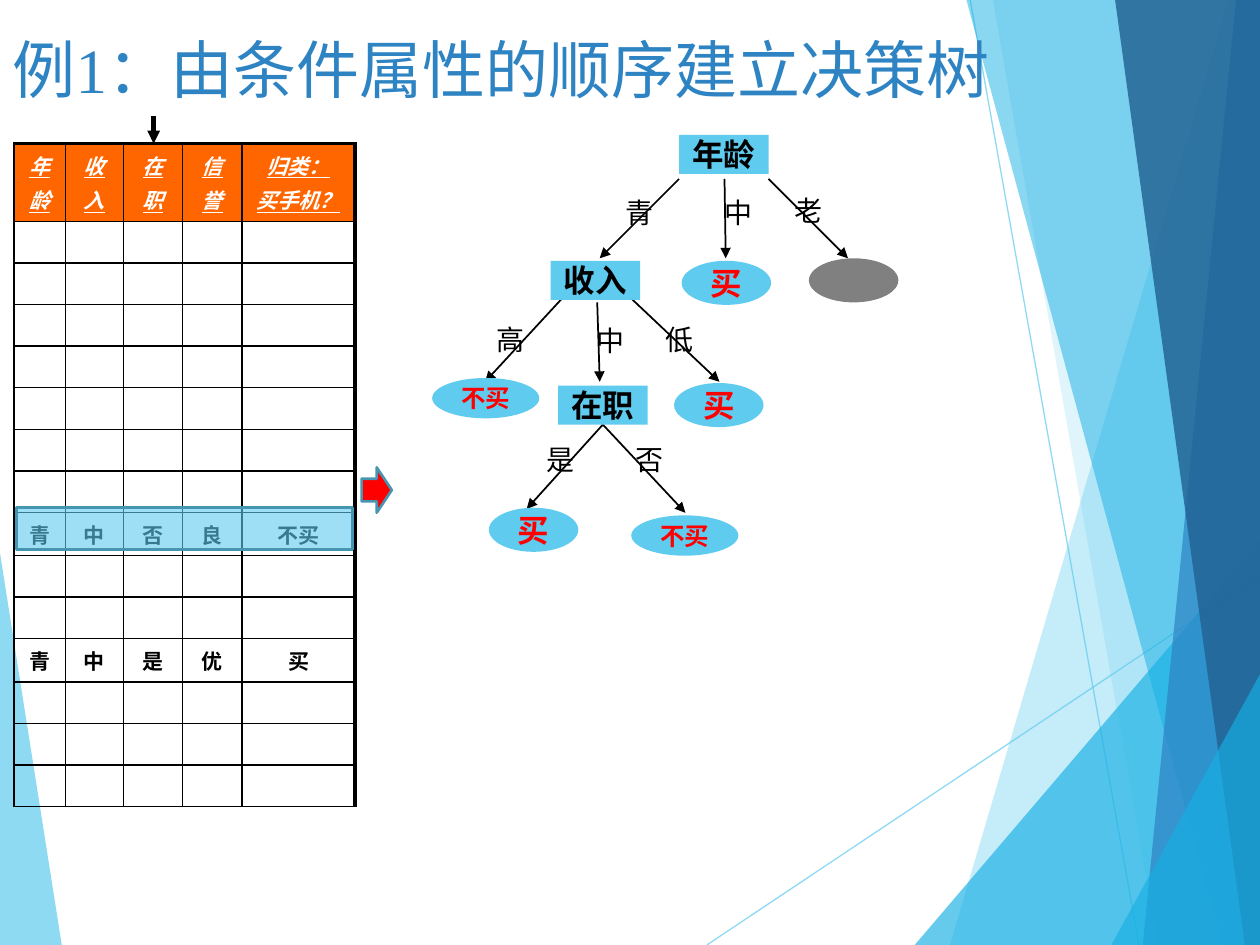
from lxml.etree import SubElement
from pptx import Presentation
from pptx.dml.color import RGBColor
from pptx.enum.shapes import MSO_CONNECTOR as Connector, MSO_SHAPE as Preset
from pptx.enum.text import MSO_ANCHOR as Anchor, MSO_AUTO_SIZE as AutoSize, PP_ALIGN as Align
from pptx.oxml.ns import qn
from pptx.util import Inches, Pt

SKY = RGBColor(0x5F, 0xCB, 0xEF)
CYAN = RGBColor(0x17, 0xB0, 0xE4)
BLUE = RGBColor(0x2E, 0x83, 0xC3)
NAVY = RGBColor(0x22, 0x62, 0x92)
TEAL = RGBColor(0x46, 0x96, 0xB1)
ORANGE = RGBColor(0xFF, 0x66, 0x00)
RED = RGBColor(0xFF, 0x00, 0x00)
GREY = RGBColor(0x80, 0x80, 0x80)
BLACK = RGBColor(0x00, 0x00, 0x00)
WHITE = RGBColor(0xFF, 0xFF, 0xFF)


def set_opacity(fill_parent, percent):
    color = fill_parent.find(qn("a:solidFill")).find(qn("a:srgbClr"))
    SubElement(color, qn("a:alpha"), val=str(percent * 1000))


def add_run(paragraph, text, size, font, color, bold=False):
    run = paragraph.add_run()
    run.text = text
    run.font.size = Pt(size)
    run.font.name = font
    run.font.bold = bold
    run.font.color.rgb = color
    return run


def add_line(slide, start, end, color, width, arrow=False):
    line = slide.shapes.add_connector(
        Connector.STRAIGHT, *(Inches(value) for value in (*start, *end)))
    line.line.color.rgb = color
    line.line.width = Pt(width)
    properties = line._element.spPr
    if arrow:
        SubElement(properties.find(qn("a:ln")), qn("a:tailEnd"), type="triangle")
    SubElement(properties, qn("a:effectLst"))
    return line


def style_shape(shape, fill, outline=None, opacity=None):
    shape.shadow.inherit = False
    shape.fill.solid()
    shape.fill.fore_color.rgb = fill
    if opacity:
        set_opacity(shape._element.spPr, opacity)
    if outline:
        shape.line.color.rgb = outline
        shape.line.width = Pt(1.5)
    else:
        shape.line.fill.background()


def add_preset(slide, preset, box, fill, outline=None, opacity=None):
    shape = slide.shapes.add_shape(preset, *(Inches(value) for value in box))
    style_shape(shape, fill, outline, opacity)
    return shape


def add_background(slide, width, height):
    def add_facet(points, color, opacity):
        points = [(Inches(x), Inches(y)) for x, y in points]
        builder = slide.shapes.build_freeform(*points[0])
        builder.add_line_segments(points[1:], close=True)
        style_shape(builder.convert_to_shape(), color, opacity=opacity)

    add_facet([(0, 4.39), (0.49, height), (0, height)], SKY, 70)
    for start, end in (((5.61, height), (width, 4.57)), ((7.7, 0), (9.04, height))):
        line = add_line(slide, start, end, SKY, 0.75)
        set_opacity(line._element.spPr.find(qn("a:ln")), 70)

    # Facets against the right edge: top of the edge, x at top, x at bottom
    for edge_top, top_x, bottom_x, color, opacity in (
            (0, 9.75, 7.54, SKY, 36), (0, 7.88, 9.19, SKY, 20),
            (4.29, width, 7.26, CYAN, 66), (0, 7.67, 9.7, CYAN, 50),
            (0, 9.81, 9.07, BLUE, 70), (0, 8.85, 9.88, NAVY, 82),
            (5.35, width, 8.82, CYAN, 66)):
        add_facet([(top_x, edge_top), (bottom_x, height), (width, height),
                   (width, edge_top)], color, opacity)


def add_title(slide, left, top, width, height):
    title = slide.shapes.title
    title.left, title.top = Inches(left), Inches(top)
    title.width, title.height = Inches(width), Inches(height)
    frame = title.text_frame
    frame.auto_size = AutoSize.NONE
    frame.vertical_anchor = Anchor.TOP
    paragraph = frame.paragraphs[0]
    paragraph.alignment = Align.LEFT
    add_run(paragraph, "例1：由条件属性的顺序建立决策树", 36, "Times New Roman", BLUE)
    # Bring the title in front of the background
    slide.shapes._spTree.append(title._element)


def set_borders(cell, widths):
    properties = cell._tc.get_or_add_tcPr()
    for index, (side, width) in enumerate(zip(("lnL", "lnR", "lnT", "lnB"), widths)):
        border = properties.makeelement(qn(f"a:{side}"), {"w": str(Pt(width))})
        fill = SubElement(border, qn("a:solidFill"))
        SubElement(fill, qn("a:srgbClr"), val=str(BLACK))
        properties.insert(index, border)


def fill_cell(cell, lines, header):
    if header:
        cell.fill.solid()
        cell.fill.fore_color.rgb = ORANGE
    else:
        cell.fill.background()
    frame = cell.text_frame
    if not lines:
        SubElement(frame.paragraphs[0]._p, qn("a:endParaRPr"), sz="1200")
    for index, text in enumerate(lines):
        paragraph = frame.add_paragraph() if index else frame.paragraphs[0]
        paragraph.alignment = Align.CENTER
        if index:
            paragraph.space_before = Pt(2.4)
        font = "Times New Roman" if header else "Arial"
        run = add_run(paragraph, text, 12, font, WHITE if header else BLACK, True)
        run.font.italic = run.font.underline = header


def add_records(slide, left, top):
    column_widths = (0.41, 0.46, 0.47, 0.47, 0.9)
    row_heights = [0.56] + [0.33] * 14
    contents = {
        0: ("年 龄", "收 入", "在 职", "信 誉", "归类： 买手机？"),
        8: ("青", "中", "否", "良", "不买"),
        11: ("青", "中", "是", "优", "买"),
    }
    table = slide.shapes.add_table(
        len(row_heights), len(column_widths), Inches(left), Inches(top),
        Inches(sum(column_widths)), Inches(sum(row_heights))).table
    table.horz_banding = table.first_row = False
    for column, width in zip(table.columns, column_widths):
        column.width = Inches(width)
    for row_index, height in enumerate(row_heights):
        table.rows[row_index].height = Inches(height)
        texts = contents.get(row_index, [""] * len(column_widths))
        for column_index, text in enumerate(texts):
            cell = table.cell(row_index, column_index)
            fill_cell(cell, text.split(), row_index == 0)
            right = 2.25 if column_index == len(column_widths) - 1 else 1
            set_borders(cell, (1, right, 1 if row_index else 2.25, 1))

    # Marks for the current attribute and the current record
    add_line(slide, (left + 1.11, top - 0.22), (left + 1.11, top), BLACK, 2.5, True)
    add_preset(slide, Preset.RECTANGLE, (left + 0.02, top + 2.89, 2.67, 0.33),
               SKY, TEAL, 60)
    add_preset(slide, Preset.RIGHT_ARROW, (left + 2.76, top + 2.57, 0.24, 0.36), RED, TEAL)


def add_tree(slide, left, top):
    def add_node(preset, x, y, width, height, text, size, color, fill=SKY):
        node = add_preset(slide, preset, (left + x, top + y, width, height), fill)
        if text:
            frame = node.text_frame
            frame.margin_left = frame.margin_right = 0
            frame.margin_top = frame.margin_bottom = 0
            frame.vertical_anchor = Anchor.MIDDLE
            paragraph = frame.paragraphs[0]
            paragraph.alignment = Align.CENTER
            add_run(paragraph, text, size, "Lato", color, True)
        return node

    # Branches: start, end, label, label position
    branches = []
    for x1, y1, x2, y2, text, label_x, label_y in (
            (1.99, 0.42, 1.36, 1.05, "青", 1.36, 0.5),
            (2.35, 0.42, 2.36, 1.05, "中", 2.15, 0.5),
            (2.7, 0.42, 3.33, 1.05, "老", 2.7, 0.49),
            (1.06, 1.37, 0.45, 2.03, "高", 0.34, 1.51),
            (1.34, 1.4, 1.36, 2.03, "中", 1.13, 1.52),
            (1.59, 1.35, 2.31, 2.03, "低", 1.68, 1.51),
            (1.39, 2.36, 0.78, 3.04, "是", 0.73, 2.46),
            (1.39, 2.36, 2.04, 3.07, "否", 1.44, 2.46)):
        branches.append(add_line(slide, (left + x1, top + y1), (left + x2, top + y2),
                                 BLACK, 1, True))
        label = slide.shapes.add_textbox(Inches(left + label_x), Inches(top + label_y),
                                         Inches(0.63), Inches(0.37))
        label.text_frame.word_wrap = True
        paragraph = label.text_frame.paragraphs[0]
        paragraph.alignment = Align.CENTER
        add_run(paragraph, text, 16, "Times New Roman", BLACK)

    # Attribute nodes
    for text, x, y in (("年龄", 1.99, 0.07), ("收入", 0.97, 1.07), ("在职", 1.03, 2.06)):
        attribute = add_node(Preset.RECTANGLE, x, y, 0.71, 0.31, text, 18, BLACK)
    for branch in branches[-2:]:
        branch.begin_connect(attribute, 2)

    # Leaves
    add_node(Preset.OVAL, 3.02, 1.05, 0.71, 0.35, "", 18, RED, GREY)
    for x, y in ((2.01, 1.07), (1.95, 2.04), (0.48, 3.03)):
        add_node(Preset.OVAL, x, y, 0.71, 0.35, "买", 18, RED)
    for x, y in ((0.03, 2), (1.61, 3.09)):
        add_node(Preset.OVAL, x, y, 0.85, 0.32, "不买", 14, RED)


def main():
    presentation = Presentation()
    presentation.slide_width, presentation.slide_height = Inches(10), Inches(7.5)
    slide = presentation.slides.add_slide(presentation.slide_layouts[5])
    add_background(slide, 10, 7.5)
    add_title(slide, 0, 0.19, 8.6, 0.53)
    add_records(slide, 0.11, 1.14)
    add_tree(slide, 3.4, 1)
    presentation.save("out.pptx")


if __name__ == "__main__":
    main()
